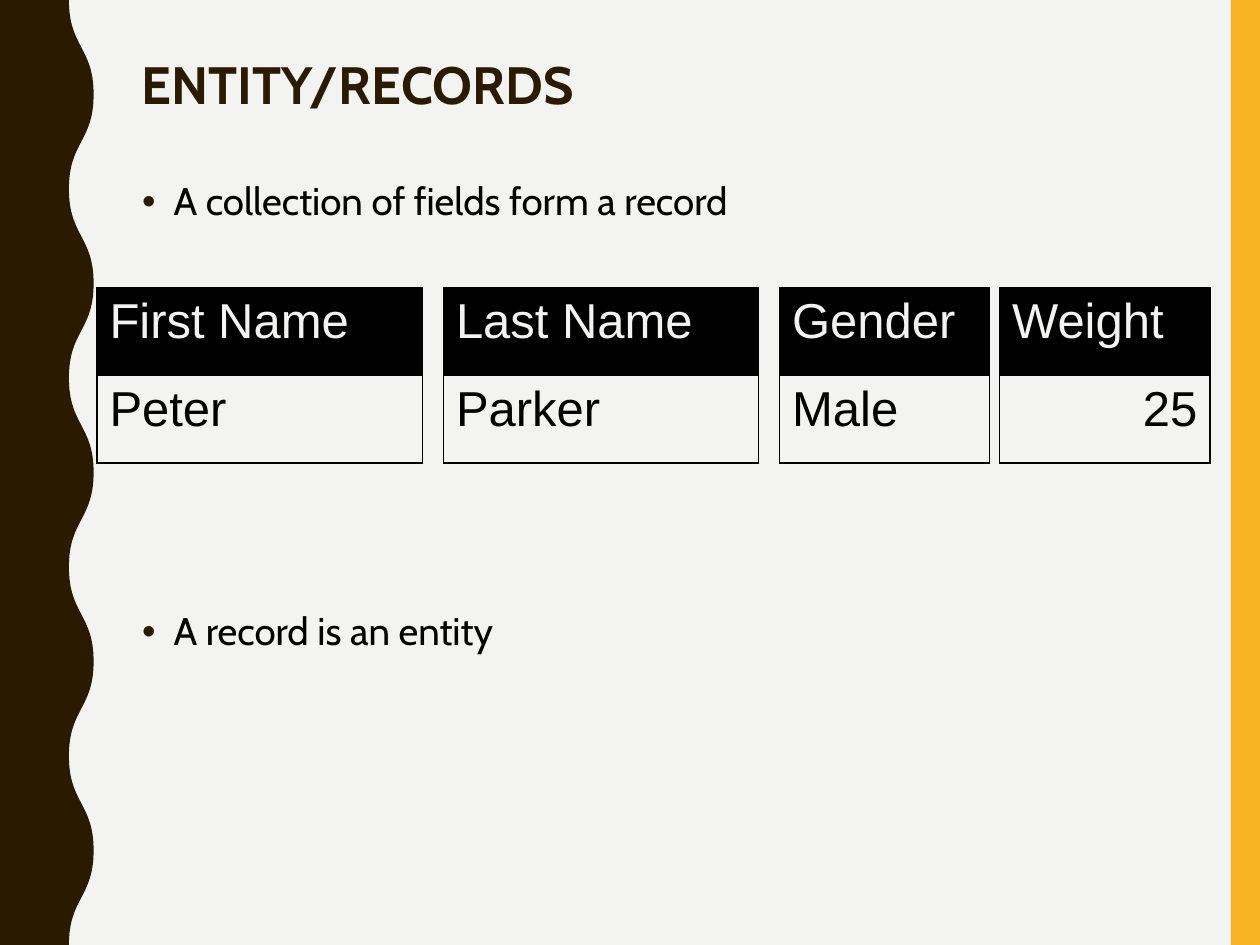
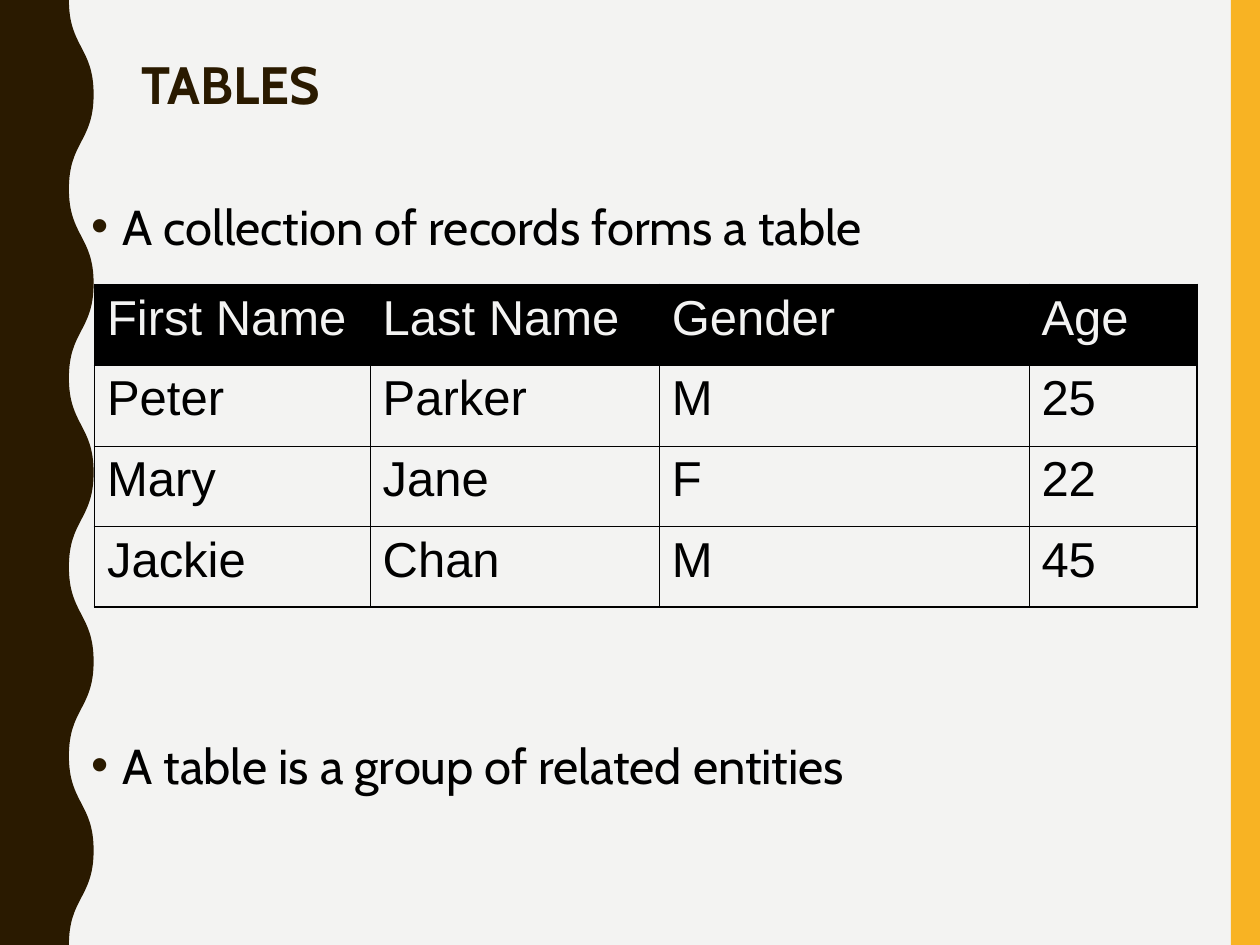
from dataclasses import dataclass

from lxml import etree
from pptx import Presentation
from pptx.dml.color import RGBColor
from pptx.enum import shapes, text
from pptx.oxml import ns
from pptx.util import Pt


@dataclass(frozen=True)
class Theme:
    paper: str = "F3F3F2"
    brown: str = "2A1A00"
    gold: str = "F8B323"
    ink: str = "000000"
    text_font: str = "Cabin"
    table_font: str = "Arial"
    title_size: int = 30
    table_size: int = 28
    outer_line: float = 1.08
    inner_line: float = 0.45


WIDTH, HEIGHT = 720, 540
BAND_WIDTH = 16.6
WAVE_VALLEY, WAVE_CREST, WAVE_HALF = 39.4, 53.5, 54


def rgb(code):
    return RGBColor.from_string(code)


def add_element(parent, tag, **attributes):
    return etree.SubElement(parent, ns.qn(tag), attributes)


def curve_segments(shape, points):
    """Turn the straight segments between the points into S-shaped curves."""
    lines = shape._element.findall(".//" + ns.qn("a:lnTo"))
    for line, (start_x, start_y), (end_x, end_y) in zip(lines, points, points[1:]):
        line.tag = ns.qn("a:cubicBezTo")
        middle = (start_y + end_y) // 2
        for index, x in enumerate((start_x, end_x)):
            control = etree.Element(ns.qn("a:pt"), x=str(x), y=str(middle))
            line.insert(index, control)


class Deck:
    def __init__(self, theme):
        self.theme = theme
        self.deck = Presentation()
        self.deck.slide_width, self.deck.slide_height = Pt(WIDTH), Pt(HEIGHT)
        self.page = None

    def add_page(self, title):
        self.page = self.deck.slides.add_slide(self.deck.slide_layouts[6])
        background = self.page.background.fill
        background.solid()
        background.fore_color.rgb = rgb(self.theme.paper)
        self.add_gold_band()
        self.add_wave()
        self.add_title(title)

    def paint(self, shape, color):
        shape.shadow.inherit = False
        shape.fill.solid()
        shape.fill.fore_color.rgb = rgb(color)
        shape.line.fill.background()

    def add_gold_band(self):
        band = self.page.shapes.add_shape(
            shapes.MSO_SHAPE.RECTANGLE,
            Pt(WIDTH - BAND_WIDTH), Pt(0), Pt(BAND_WIDTH), Pt(HEIGHT))
        self.paint(band, self.theme.gold)

    def add_wave(self):
        """A dark left band whose edge swings between valley and crest."""
        edge = [(Pt(WAVE_CREST if turn % 2 else WAVE_VALLEY), Pt(turn * WAVE_HALF))
                for turn in range(HEIGHT // WAVE_HALF + 1)]
        outline = self.page.shapes.build_freeform(*edge[0])
        outline.add_line_segments(edge[1:] + [(0, Pt(HEIGHT)), (0, 0)], close=True)
        wave = outline.convert_to_shape()
        curve_segments(wave, edge)
        self.paint(wave, self.theme.brown)

    def add_box(self, left, top, width, height):
        box = self.page.shapes.add_textbox(Pt(left), Pt(top), Pt(width), Pt(height))
        box.text_frame.word_wrap = True
        box.text_frame.vertical_anchor = text.MSO_ANCHOR.TOP
        return box.text_frame

    def add_span(self, para, words, font, size, color, bold=False):
        span = para.add_run()
        span.text = words
        span.font.name, span.font.size, span.font.bold = font, Pt(size), bold
        span.font.color.rgb = rgb(color)

    def add_title(self, words):
        para = self.add_box(73.9, 30.2, 601, 117).paragraphs[0]
        para.line_spacing = 0.9
        self.add_span(para, words, self.theme.text_font, self.theme.title_size,
                      self.theme.brown, bold=True)

    def add_bullets(self, place, lines, size, spacing, gap):
        """Bulleted lines with a gap between them that leaves room for a table."""
        frame = self.add_box(*place)
        for index, words in enumerate(lines):
            para = frame.add_paragraph() if index else frame.paragraphs[0]
            props = para._p.get_or_add_pPr()
            props.set("marL", str(Pt(18)))
            props.set("indent", str(-Pt(18)))
            add_element(add_element(props, "a:buClr"), "a:srgbClr", val=self.theme.brown)
            add_element(props, "a:buFont", typeface="Arial")
            add_element(props, "a:buChar", char="•")
            para.line_spacing = spacing
            if index:
                para.space_before = Pt(gap)
            self.add_span(para, words, self.theme.text_font, size, self.theme.ink)

    def add_borders(self, cell, outer_sides):
        """Draw all four sides of a cell, heavier on the table's outer edge."""
        props = cell._tc.get_or_add_tcPr()
        for side in "LRTB":
            width = self.theme.outer_line if side in outer_sides else self.theme.inner_line
            line = add_element(props, f"a:ln{side}", w=str(Pt(width)))
            add_element(add_element(line, "a:solidFill"), "a:srgbClr", val=self.theme.ink)

    def add_table(self, left, top, widths, row_height, rows, right_aligned=()):
        table = self.page.shapes.add_table(
            len(rows), len(widths), Pt(left), Pt(top),
            Pt(sum(widths)), Pt(row_height * len(rows))).table
        table.first_row = table.horz_banding = False
        for column, width in zip(table.columns, widths):
            column.width = Pt(width)
        for r, row in enumerate(rows):
            table.rows[r].height = Pt(row_height)
            for c, words in enumerate(row):
                cell = table.cell(r, c)
                edges = {"L": c == 0, "R": c == len(widths) - 1,
                         "T": r == 0, "B": r == len(rows) - 1}
                self.add_borders(cell, [side for side, outer in edges.items() if outer])
                if r == 0:
                    cell.fill.solid()
                    cell.fill.fore_color.rgb = rgb(self.theme.ink)
                else:
                    cell.fill.background()
                para = cell.text_frame.paragraphs[0]
                if words in right_aligned:
                    para.alignment = text.PP_ALIGN.RIGHT
                self.add_span(para, words, self.theme.table_font, self.theme.table_size,
                              self.theme.ink if r else self.theme.paper)


def add_records_page(deck):
    deck.add_page("ENTITY/RECORDS")
    deck.add_bullets((74.1, 100.7, 601, 283),
                     ["A collection of fields form a record", "A record is an entity"],
                     size=22, spacing=0.9, gap=222)
    fields = [
        (253.4, 180, "Last Name", "Parker"),
        (55.4, 186, "First Name", "Peter"),
        (445.5, 120, "Gender", "Male"),
        (571.2, 120.2, "Weight", "25"),
    ]
    for left, width, name, value in fields:
        deck.add_table(left, 164.5, [width], 50.1, [[name], [value]], right_aligned=["25"])


def add_tables_page(deck):
    deck.add_page("TABLES")
    deck.add_bullets((45, 105.4, 630, 357),
                     ["A collection of records forms a table",
                      "A table is a group of related entities"],
                     size=28, spacing=1.1, gap=271)
    deck.add_table(54, 162.6, [157.5, 165.3, 211.2, 95.9], 46.1, [
        ["First Name", "Last Name", "Gender", "Age"],
        ["Peter", "Parker", "M", "25"],
        ["Mary", "Jane", "F", "22"],
        ["Jackie", "Chan", "M", "45"],
    ])


def main():
    deck = Deck(Theme())
    add_records_page(deck)
    add_tables_page(deck)
    deck.deck.save("out.pptx")


if __name__ == "__main__":
    main()
